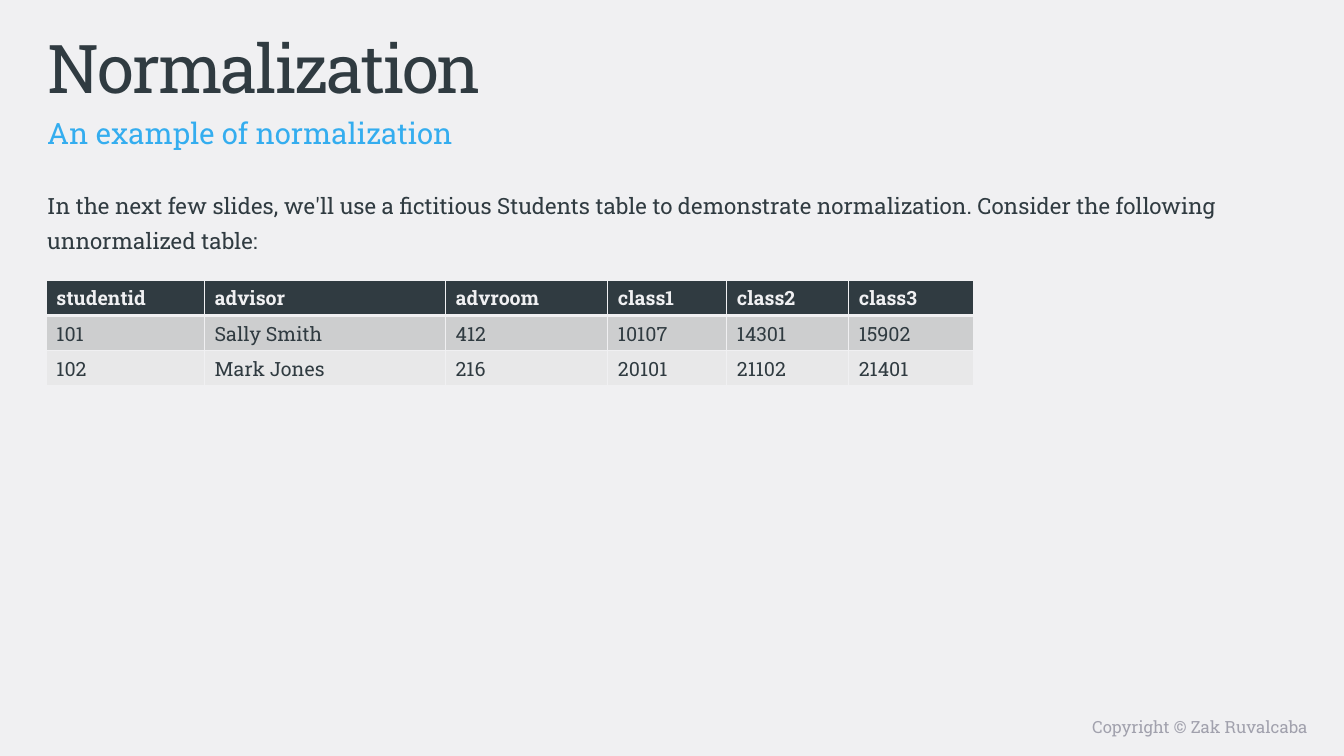
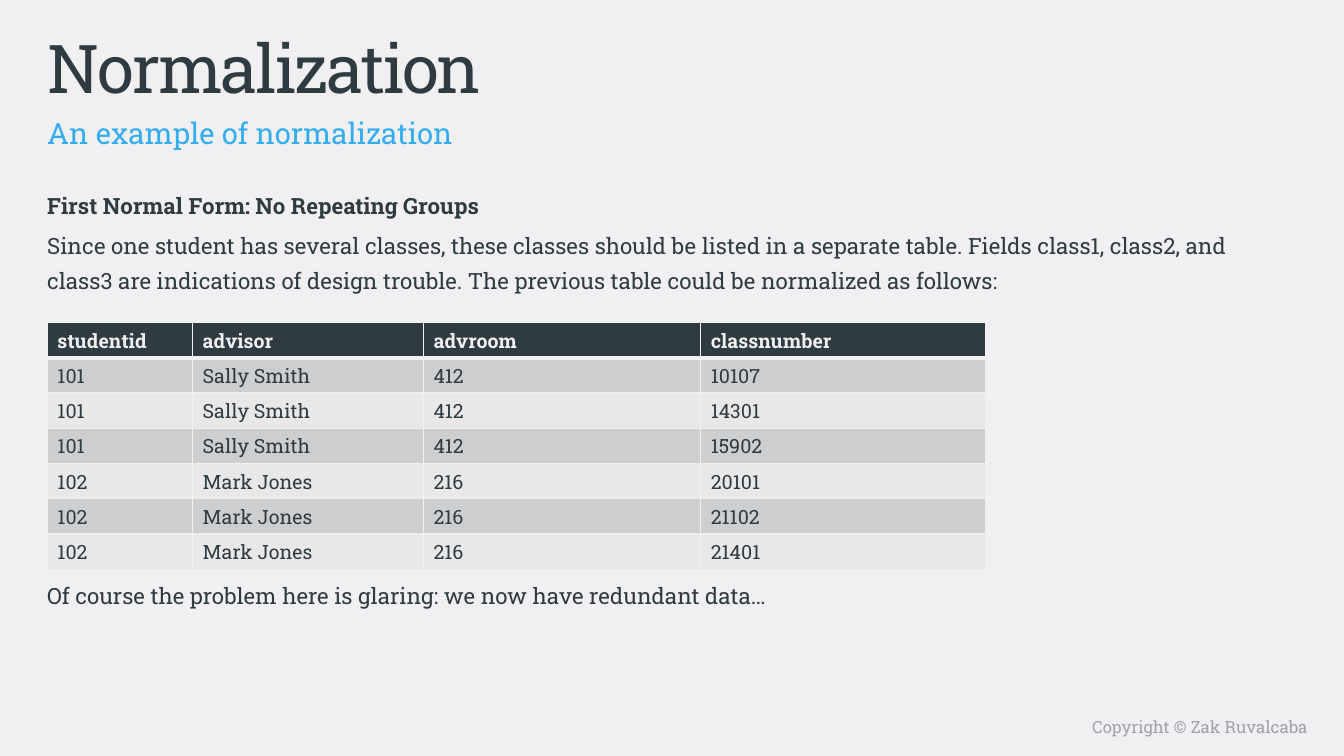
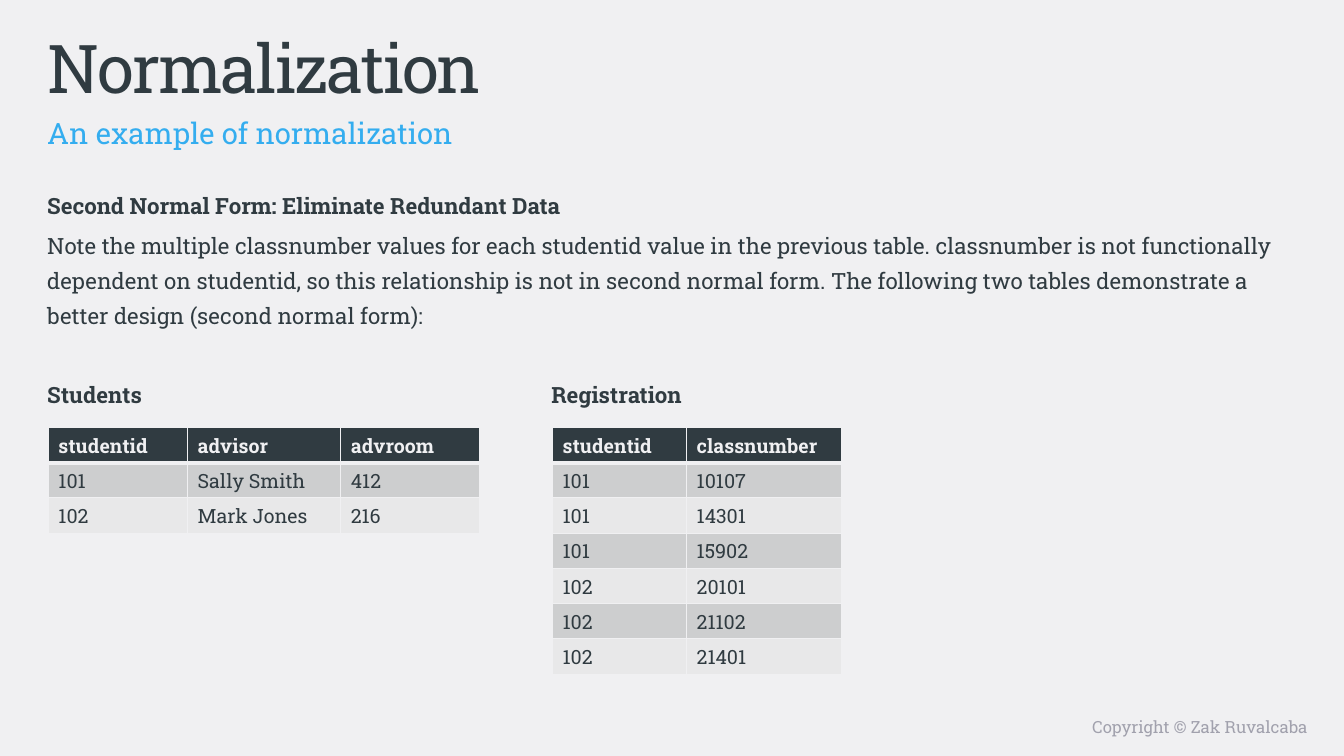
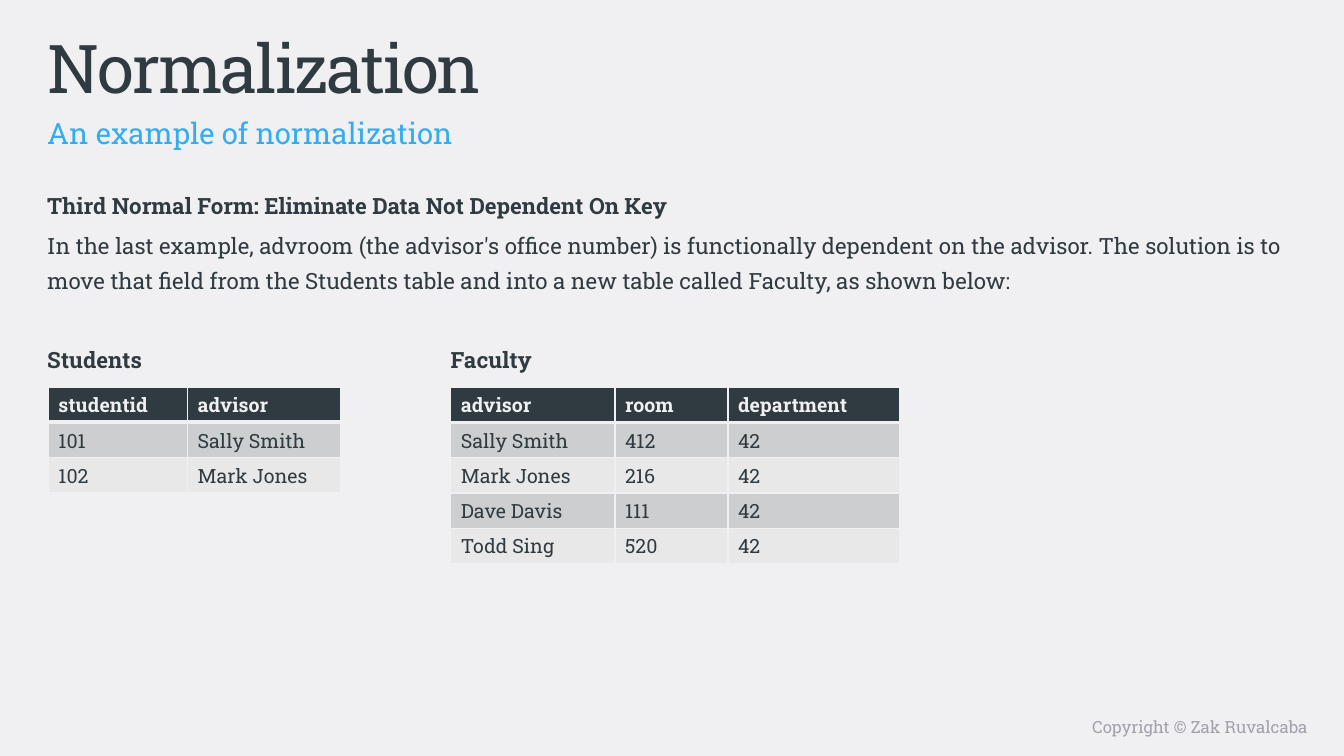
from lxml import etree
from pptx import Presentation
from pptx import util as u
from pptx.dml.color import RGBColor
from pptx.enum import text
from pptx.oxml.ns import qn

C = {"bg": "F0F0F2", "ink": "303B41", "accent": "34ADEF", "muted": "A1A1AD",
     "odd": "CDCECF", "even": "E8E8E9"}
FONT = "Roboto Slab"
SPACING = 1.3


def add_run(p, words, size, color, bold=False):
    r = p.add_run()
    r.text = words
    r.font.name = FONT
    r.font.size = u.Pt(size)
    r.font.bold = bold
    r.font.color.rgb = RGBColor.from_string(C[color])
    return r


def add_text(s, left, top, width, height):
    tf = s.shapes.add_textbox(*map(u.Inches, (left, top, width, height))).text_frame
    tf.word_wrap = True
    return tf


students = [("101", "Sally Smith", "412"), ("102", "Mark Jones", "216")]
classes = [("10107", "14301", "15902"), ("20101", "21102", "21401")]
unnormalized = [st + cl for st, cl in zip(students, classes)]
first_form = [st + (c,) for st, cl in zip(students, classes) for c in cl]
registration = [(row[0], row[3]) for row in first_form]
faculty = [("Sally Smith", "412", "42"), ("Mark Jones", "216", "42"),
           ("Dave Davis", "111", "42"), ("Todd Sing", "520", "42")]

slides = [
    {"body": [("In the next few slides, we'll use a fictitious Students table to demonstrate normalization. "
               "Consider the following unnormalized table:", False, 0)],
     "tables": [(0.46, 2.78, (1.57, 2.39, 1.61, 1.18, 1.21, 1.24),
                 ("studentid", "advisor", "advroom", "class1", "class2", "class3"), unnormalized)]},
    {"body": [("First Normal Form: No Repeating Groups", True, 0),
              ("Since one student has several classes, these classes should be listed in a separate table. "
               "Fields class1, class2, and class3 are indications of design trouble. "
               "The previous table could be normalized as follows:", False, 3.2),
              ("Of course the problem here is glaring: we now have redundant data…", False, 200)],
     "tables": [(0.47, 3.2, (1.44, 2.29, 2.75, 2.83),
                 ("studentid", "advisor", "advroom", "classnumber"), first_form)]},
    {"body": [("Second Normal Form: Eliminate Redundant Data", True, 0),
              ("Note the multiple classnumber values for each studentid value in the previous table. "
               "classnumber is not functionally dependent on studentid, so this relationship is not in "
               "second normal form. The following two tables demonstrate a better design "
               "(second normal form):", False, 3.2),
              ("Students\tRegistration", True, 31.5)],
     "tab": 5,
     "tables": [(5.48, 4.24, (1.33, 1.54), ("studentid", "classnumber"), registration),
                (0.48, 4.24, (1.38, 1.52, 1.38), ("studentid", "advisor", "advroom"), students)]},
    {"body": [("Third Normal Form: Eliminate Data Not Dependent On Key", True, 0),
              ("In the last example, advroom (the advisor's office number) is functionally dependent on the "
               "advisor. The solution is to move that field from the Students table and into a new table "
               "called Faculty, as shown below:", False, 3.2),
              ("Students\tFaculty", True, 31.5)],
     "tab": 4,
     "tables": [(4.47, 3.84, (1.63, 1.12, 1.7), ("advisor", "room", "department"), faculty),
                (0.48, 3.84, (1.38, 1.52), ("studentid", "advisor"), [row[:2] for row in students])]},
]

prs = Presentation()
prs.slide_width, prs.slide_height = u.Inches(13.33), u.Inches(7.5)
bg = prs.slide_master.background.fill
bg.solid()
bg.fore_color.rgb = RGBColor.from_string(C["bg"])

for content in slides:
    s = prs.slides.add_slide(prs.slide_layouts[5])

    title = s.shapes.title
    title.left, title.top, title.width, title.height = map(u.Inches, (0.37, 0.21, 11.76, 0.79))
    tf = title.text_frame
    tf.auto_size = text.MSO_AUTO_SIZE.NONE
    tf.vertical_anchor = text.MSO_ANCHOR.TOP
    p = tf.paragraphs[0]
    p.alignment = text.PP_ALIGN.LEFT
    r = add_run(p, "Normalization", 48, "ink")
    r.font._element.set("spc", "-150")

    p = add_text(s, 0.37, 0.99, 11.76, 0.39).paragraphs[0]
    p.line_spacing = SPACING
    add_run(p, "An example of normalization", 21, "accent")

    tf = add_text(s, 0.37, 1.78, 12.58, 5.23)
    for i, (words, bold, before) in enumerate(content["body"]):
        p = tf.add_paragraph() if i else tf.paragraphs[0]
        p.line_spacing = SPACING
        if before:
            p.space_before = u.Pt(before)
        if "\t" in words:
            tabs = etree.SubElement(p._p.get_or_add_pPr(), qn("a:tabLst"))
            etree.SubElement(tabs, qn("a:tab"), pos=str(u.Inches(content["tab"])), algn="l")
        add_run(p, words, 16, "ink", bold)

    for left, top, widths, header, rows in content["tables"]:
        cells = [header] + rows
        tbl = s.shapes.add_table(len(cells), len(widths), u.Inches(left), u.Inches(top),
                                 u.Inches(sum(widths)), u.Inches(0.35 * len(cells))).table
        for col, width in zip(tbl.columns, widths):
            col.width = u.Inches(width)
        for i, row in enumerate(cells):
            fill = "ink" if i == 0 else "odd" if i % 2 else "even"
            for j, words in enumerate(row):
                cell = tbl.cell(i, j)
                tcPr = cell._tc.get_or_add_tcPr()
                for side in "LRTB":
                    thick = (i, side) in ((0, "B"), (1, "T"))
                    ln = etree.SubElement(tcPr, qn("a:ln" + side), w=str(u.Pt(3 if thick else 1)))
                    solid = etree.SubElement(ln, qn("a:solidFill"))
                    etree.SubElement(solid, qn("a:srgbClr"), val=C["bg"])
                cell.fill.solid()
                cell.fill.fore_color.rgb = RGBColor.from_string(C[fill])
                add_run(cell.text_frame.paragraphs[0], words, 14, "ink" if i else "bg", i == 0)

    tf = add_text(s, 6.67, 7.06, 6.4, 0.31)
    tf.vertical_anchor = text.MSO_ANCHOR.MIDDLE
    p = tf.paragraphs[0]
    p.alignment = text.PP_ALIGN.RIGHT
    add_run(p, "Copyright © Zak Ruvalcaba", 12, "muted")

prs.save("out.pptx")
